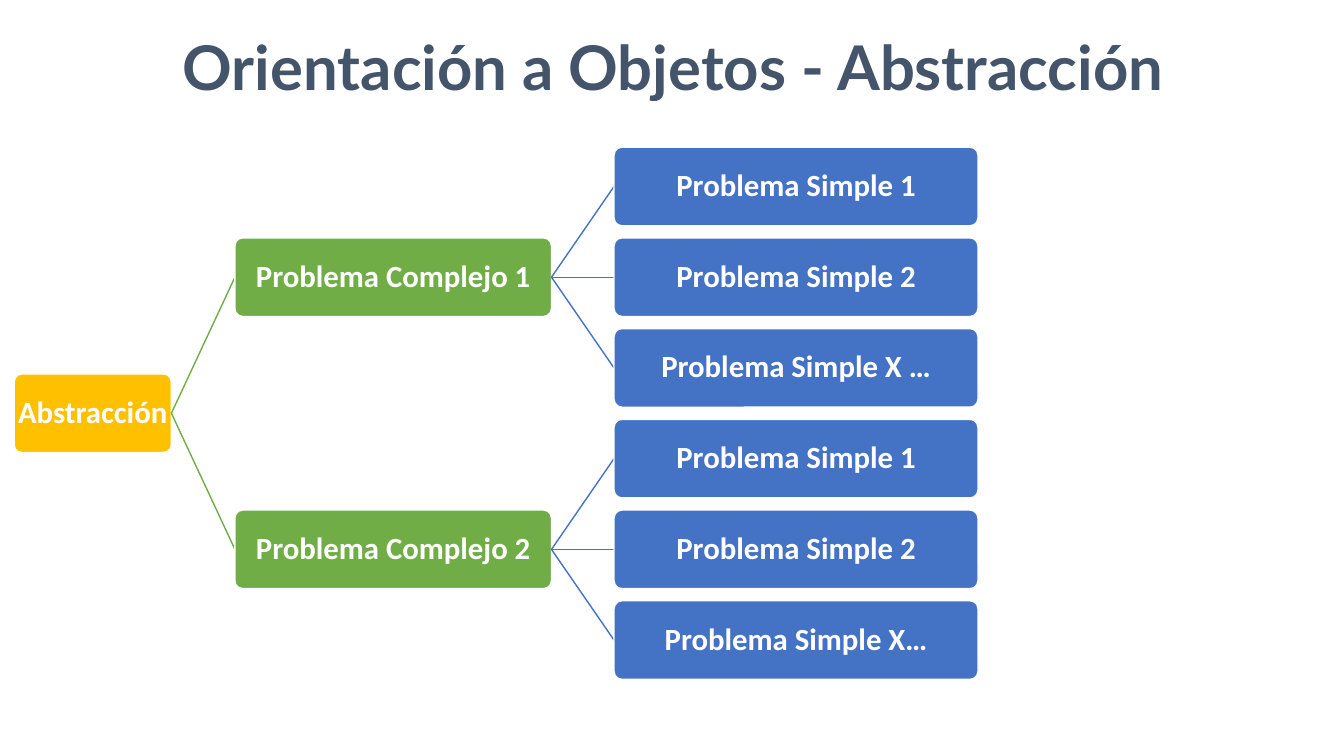
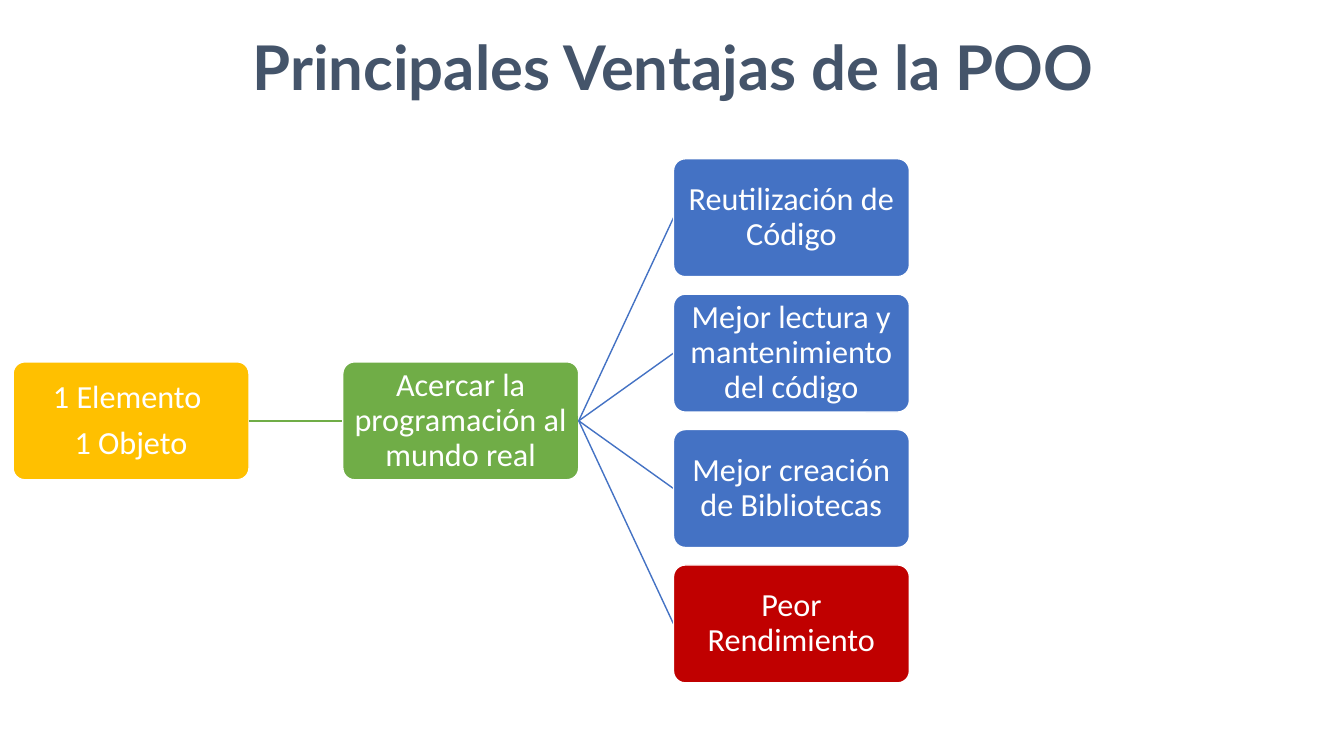
from pptx import Presentation
from pptx import util as u
from pptx.dml.color import RGBColor
from pptx.enum import shapes, text
from pptx.oxml.ns import qn

WHITE, SLATE, RED = "FFFFFF", "44546A", "C00000"
LEVEL_COLOURS = ["FFC000", "70AD47", "4472C4"]


def colour(value):
    return RGBColor.from_string(value)


def write(frame, lines, font, size, ink, bold, side):
    frame.word_wrap = True
    frame.margin_left = frame.margin_right = u.Inches(side)
    frame.margin_top = frame.margin_bottom = u.Inches(0.02)
    for index, line in enumerate(lines):
        para = frame.paragraphs[0] if index == 0 else frame.add_paragraph()
        para.alignment = text.PP_ALIGN.CENTER
        span = para.add_run()
        span.text = line
        span.font.name = font
        span.font.size = u.Pt(size)
        span.font.bold = bold
        span.font.color.rgb = colour(ink)


diagrams = [
    {
        "title": "Orientación a Objetos - Abstracción",
        "size": 22, "bold": True, "height": 0.78,
        "lefts": [0.14, 2.33, 6.09], "widths": [1.56, 3.14, 3.61],
        "first": 1.85, "last": 6.35, "rows": 6,
        "nodes": [
            {"lines": ["Abstracción"], "level": 0, "row": 2.5},
            {"lines": ["Problema Complejo 1"], "level": 1, "row": 1, "parent": 0},
            {"lines": ["Problema Simple 1"], "level": 2, "row": 0, "parent": 1},
            {"lines": ["Problema Simple 2"], "level": 2, "row": 1, "parent": 1},
            {"lines": ["Problema Simple X …"], "level": 2, "row": 2, "parent": 1},
            {"lines": ["Problema Complejo 2"], "level": 1, "row": 4, "parent": 0},
            {"lines": ["Problema Simple 1"], "level": 2, "row": 3, "parent": 5},
            {"lines": ["Problema Simple 2"], "level": 2, "row": 4, "parent": 5},
            {"lines": ["Problema Simple X…"], "level": 2, "row": 5, "parent": 5},
        ],
    },
    {
        "title": "Principales Ventajas de la POO",
        "size": 23, "bold": False, "height": 1.17,
        "lefts": [0.13, 3.4, 6.68], "widths": [2.34, 2.34, 2.34],
        "first": 2.16, "last": 6.19, "rows": 4,
        "nodes": [
            {"lines": ["1 Elemento ", "1 Objeto"], "level": 0, "row": 1.5},
            {"lines": ["Acercar la programación al mundo real"], "level": 1, "row": 1.5, "parent": 0},
            {"lines": ["Reutilización de Código"], "level": 2, "row": 0, "parent": 1},
            {"lines": ["Mejor lectura y mantenimiento del código"], "level": 2, "row": 1, "parent": 1},
            {"lines": ["Mejor creación de Bibliotecas"], "level": 2, "row": 2, "parent": 1},
            {"lines": ["Peor Rendimiento"], "level": 2, "row": 3, "parent": 1, "fill": RED},
        ],
    },
]

deck = Presentation()
deck.slide_width, deck.slide_height = u.Inches(13.33), u.Inches(7.5)

for diagram in diagrams:
    page = deck.slides.add_slide(deck.slide_layouts[6])
    title = page.shapes.add_textbox(u.Inches(0.13), u.Inches(0.27), u.Inches(13.1), u.Inches(0.79))
    write(title.text_frame, [diagram["title"]], "Lato", 44, SLATE, True, 0.05)
    title.text_frame.auto_size = text.MSO_AUTO_SIZE.SHAPE_TO_FIT_TEXT

    size, height = diagram["size"], diagram["height"]
    step = (diagram["last"] - diagram["first"]) / (diagram["rows"] - 1)
    exits = []
    for node in diagram["nodes"]:
        level = node["level"]
        left, width = diagram["lefts"][level], diagram["widths"][level]
        middle = diagram["first"] + step * node["row"]
        exits.append((left + width, middle))

        if "parent" in node:
            start_x, start_y = exits[node["parent"]]
            branch = page.shapes.add_connector(
                shapes.MSO_CONNECTOR.STRAIGHT,
                u.Inches(start_x), u.Inches(start_y), u.Inches(left), u.Inches(middle))
            branch.line.color.rgb = colour(LEVEL_COLOURS[level])
            branch.line.width = u.Pt(1)
            properties = branch._element.spPr
            properties.append(properties.makeelement(qn("a:effectLst"), {}))

        box = page.shapes.add_shape(
            shapes.MSO_SHAPE.ROUNDED_RECTANGLE,
            u.Inches(left), u.Inches(middle - height / 2), u.Inches(width), u.Inches(height))
        box.adjustments[0] = 0.1
        box.shadow.inherit = False
        box.fill.solid()
        box.fill.fore_color.rgb = colour(node.get("fill", LEVEL_COLOURS[level]))
        box.line.color.rgb = colour(WHITE)
        box.line.width = u.Pt(1)
        write(box.text_frame, node["lines"], "Calibri", size, WHITE, diagram["bold"], 0)
        box.text_frame.vertical_anchor = text.MSO_ANCHOR.MIDDLE
        for para in box.text_frame.paragraphs:
            para.line_spacing = 0.9
            para.space_after = u.Pt(size * 0.35)

deck.save("out.pptx")
